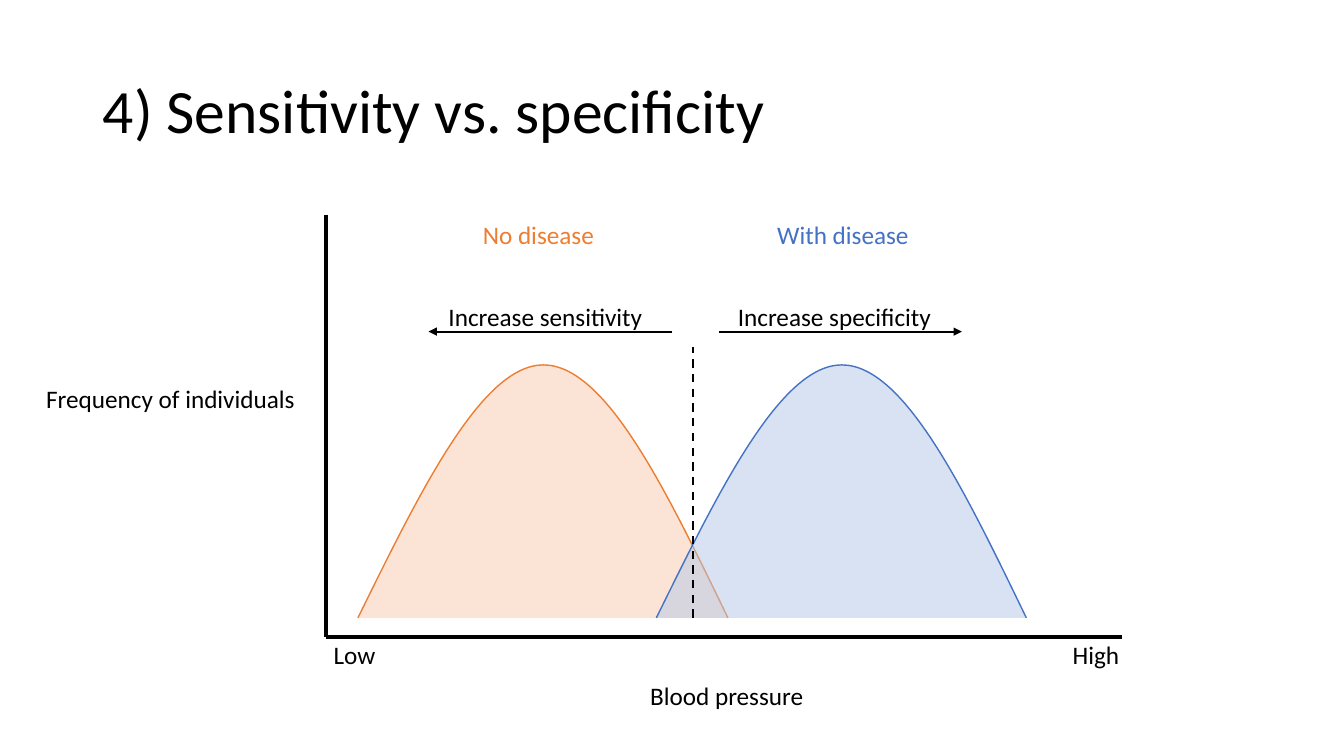
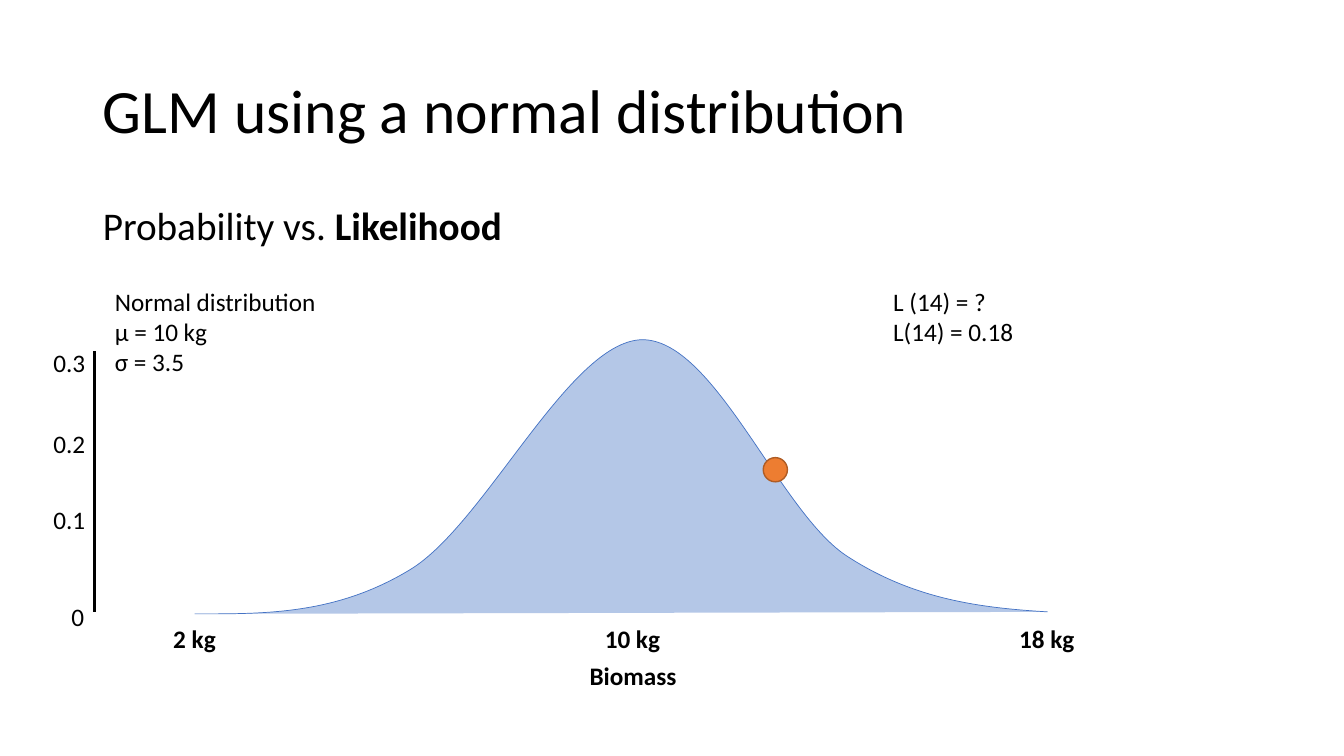
from lxml.etree import SubElement
from pptx import Presentation
from pptx.dml.color import RGBColor
from pptx.enum.dml import MSO_LINE
from pptx.enum.shapes import MSO_CONNECTOR, MSO_SHAPE
from pptx.enum.text import MSO_ANCHOR, MSO_AUTO_SIZE, PP_ALIGN
from pptx.oxml.ns import qn
from pptx.util import Pt

PX = 9144  # 100 px to the inch
FONT = "Calibri"
BLACK, ORANGE, BLUE = "000000", "ED7D31", "4472C4"
PALE_ORANGE, PALE_BLUE, DARK_ORANGE = "F8CBAD", "B4C7E7", "AF5C24"
rgb = RGBColor.from_string


def write_text(paragraph, text, size=18, color=BLACK, bold=False):
    span = paragraph.add_run()
    span.text = text
    span.font.name = FONT
    span.font.size = Pt(size)
    span.font.bold = bold
    span.font.color.rgb = rgb(color)


def place(shape, left, top, width, height):
    shape.left, shape.top = left * PX, top * PX
    shape.width, shape.height = width * PX, height * PX


deck = Presentation()
deck.slide_width, deck.slide_height = 1333 * PX, 750 * PX
TITLE_AND_CONTENT, TITLE_ONLY = 1, 5

# Titles
pages = []
for layout, title in [
    (TITLE_ONLY, "4) Sensitivity vs. specificity"),
    (TITLE_AND_CONTENT, "GLM using a normal distribution"),
]:
    page = deck.slides.add_slide(deck.slide_layouts[layout])
    pages.append(page)
    place(page.shapes.title, 92, 40, 1150, 145)
    frame = page.shapes.title.text_frame
    frame.vertical_anchor = MSO_ANCHOR.MIDDLE
    paragraph = frame.paragraphs[0]
    paragraph.alignment = PP_ALIGN.LEFT
    paragraph.line_spacing = 0.9
    write_text(paragraph, title, size=44)
screening, likelihood = pages

# Subtitle of the likelihood page
body = likelihood.placeholders[1]
place(body, 92, 200, 1150, 476)
paragraph = body.text_frame.paragraphs[0]
properties = paragraph._p.get_or_add_pPr()
properties.set("marL", "0")
properties.set("indent", "0")
SubElement(properties, qn("a:buNone"))
paragraph.line_spacing = 0.9
paragraph.space_before = Pt(0)
write_text(paragraph, "Probability vs. ", size=28)
write_text(paragraph, "Likelihood", size=28, bold=True)

# Distributions: a start point, then Bézier segments of two controls and an end
bell = [(0, 251), (62, 125), (123, 0), (184, 0), (246, 0), (306, 125), (367, 251)]
no_disease = [(x + 355, y + 362) for x, y in bell]
with_disease = [(x + 651, y + 362) for x, y in bell]
biomass = [
    (193, 609), (263, 609), (333, 610), (407, 565), (481, 520), (564, 340), (636, 337),
    (708, 335), (772, 506), (839, 551), (906, 595), (973, 603), (1039, 607),
]
for page, knots, fill, line, width, opacity in [
    (screening, no_disease, PALE_ORANGE, ORANGE, 1, 50),
    (screening, with_disease, PALE_BLUE, BLUE, 1, 50),
    (likelihood, biomass, PALE_BLUE, BLUE, 0.5, 100),
]:
    start, *ends = knots[::3]
    builder = page.shapes.build_freeform(*start, scale=PX)
    builder.add_line_segments(ends, close=False)
    curve = builder.convert_to_shape()
    left, top = min(x for x, y in knots[::3]), min(y for x, y in knots[::3])

    # Bend each straight segment into a Bézier segment
    straight_segments = list(curve._element.iter(qn("a:lnTo")))
    for index, segment in enumerate(straight_segments):
        segment.tag = qn("a:cubicBezTo")
        segment.remove(segment[0])
        for x, y in knots[3 * index + 1:3 * index + 4]:
            SubElement(segment, qn("a:pt"), x=str(x - left), y=str(y - top))

    curve.shadow.inherit = False
    curve.fill.solid()
    curve.fill.fore_color.rgb = rgb(fill)
    if opacity < 100:
        fill_color = curve._element.spPr.find(qn("a:solidFill")).find(qn("a:srgbClr"))
        SubElement(fill_color, qn("a:alpha"), val=str(opacity * 1000))
    curve.line.color.rgb = rgb(line)
    curve.line.width = Pt(width)

# Observed value on the biomass curve
observation = likelihood.shapes.add_shape(
    MSO_SHAPE.OVAL, 757 * PX, 454 * PX, 24 * PX, 24 * PX)
observation.shadow.inherit = False
observation.fill.solid()
observation.fill.fore_color.rgb = rgb(ORANGE)
observation.line.color.rgb = rgb(DARK_ORANGE)
observation.line.width = Pt(1)

# Axes, threshold and arrows
for page, ends, width, dashed, arrow in [
    (screening, (323, 213, 323, 632), 3, False, False),
    (screening, (323, 632, 1113, 632), 3, False, False),
    (screening, (687, 613, 687, 344), 1.5, True, False),
    (screening, (667, 329, 425, 329), 1.5, False, True),
    (screening, (713, 329, 954, 329), 1.5, False, True),
    (likelihood, (94, 607, 94, 348), 2.25, False, False),
]:
    connector = page.shapes.add_connector(
        MSO_CONNECTOR.STRAIGHT, *(end * PX for end in ends))
    connector.line.color.rgb = rgb(BLACK)
    connector.line.width = Pt(width)
    if dashed:
        connector.line.dash_style = MSO_LINE.DASH
    outline = connector._element.spPr
    if arrow:
        SubElement(outline.find(qn("a:ln")), qn("a:tailEnd"), type="triangle")
    SubElement(outline, qn("a:effectLst"))

# Labels
for page, text, left, top, width, style in [
    (screening, "Blood pressure", 635, 670, 174, {}),
    (screening, "Frequency of individuals", 36, 375, 270, {}),
    (screening, "No disease", 469, 213, 132, {"color": ORANGE}),
    (screening, "With disease", 761, 213, 152, {"color": BLUE}),
    (screening, "Low", 321, 629, 62, {}),
    (screening, "High", 1054, 629, 67, {}),
    (screening, "Increase sensitivity", 435, 294, 214, {}),
    (screening, "Increase specificity", 722, 294, 214, {}),
    (likelihood, "Normal distribution\nμ = 10 kg\nσ = 3.5", 104, 279, 222, {}),
    (likelihood, "L (14) = ?\nL(14) = 0.18", 876, 279, 141, {}),
    (likelihood, "2 kg", 162, 613, 63, {"bold": True}),
    (likelihood, "10 kg", 590, 613, 76, {"bold": True}),
    (likelihood, "18 kg", 1001, 613, 76, {"bold": True}),
    (likelihood, "Biomass", 575, 650, 107, {"bold": True}),
    (likelihood, "0", 61, 592, 33, {}),
    (likelihood, "0.1", 43, 495, 52, {}),
    (likelihood, "0.2", 43, 420, 52, {}),
    (likelihood, "0.3", 43, 340, 52, {}),
]:
    rows = text.split("\n")
    height = 10 + round(30.4 * len(rows))
    box = page.shapes.add_textbox(left * PX, top * PX, width * PX, height * PX)
    frame = box.text_frame
    frame.word_wrap = False
    frame.auto_size = MSO_AUTO_SIZE.SHAPE_TO_FIT_TEXT
    for index, row in enumerate(rows):
        paragraph = frame.add_paragraph() if index else frame.paragraphs[0]
        write_text(paragraph, row, **style)

deck.save("out.pptx")
